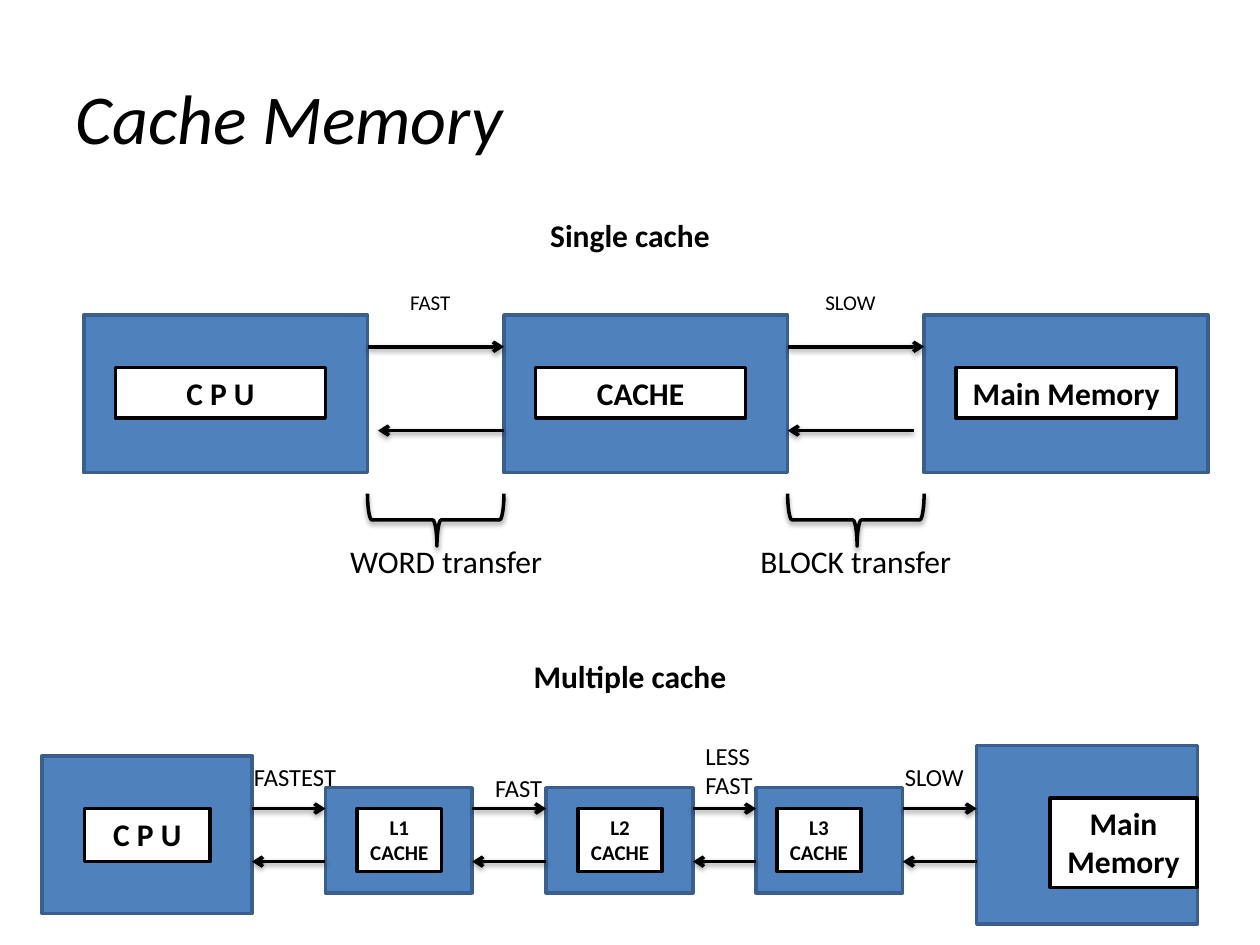
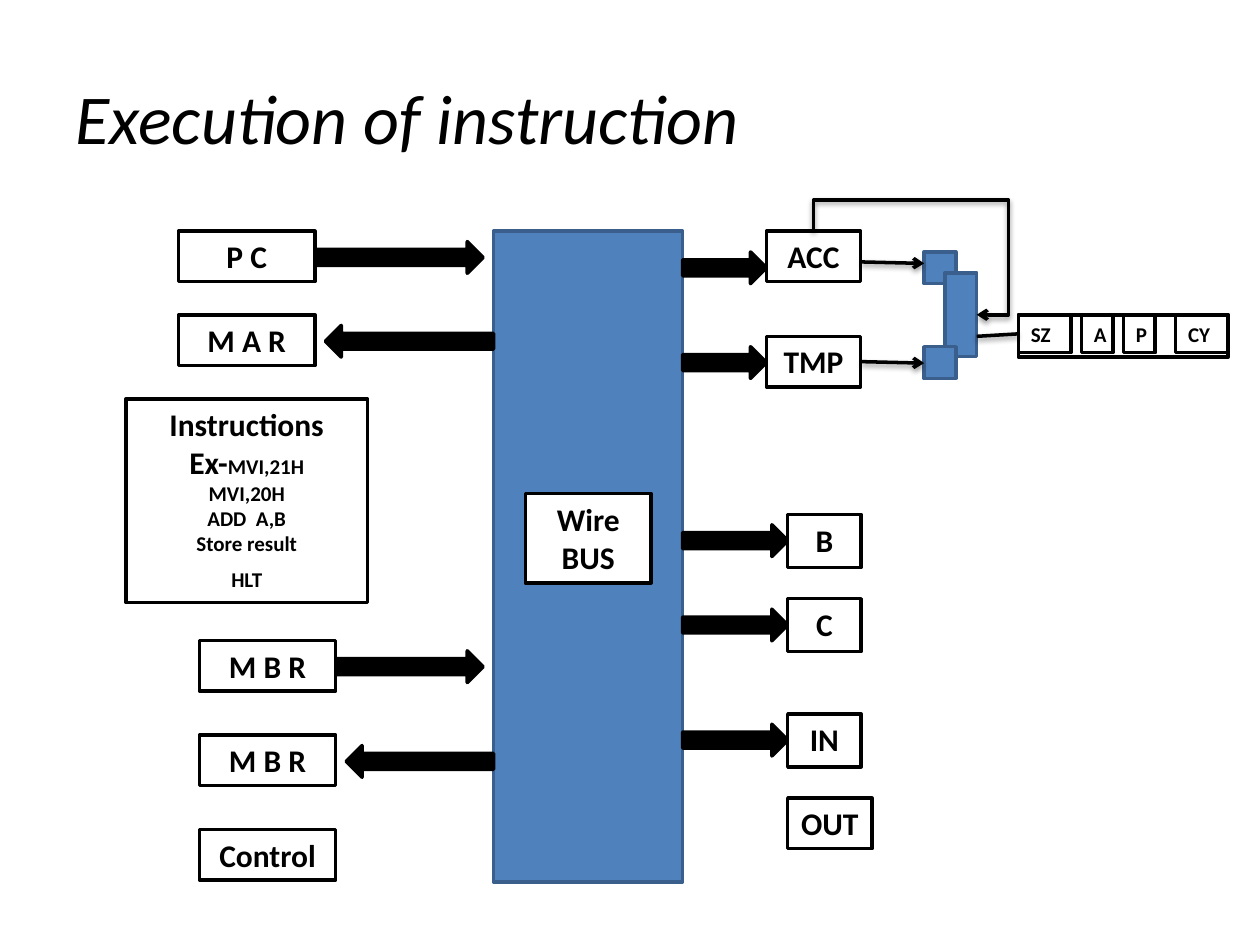
from collections import namedtuple

from lxml import etree
from pptx import Presentation
from pptx import util as u
from pptx.dml.color import RGBColor
from pptx.enum import shapes, text
from pptx.oxml.ns import qn

BLUE = RGBColor(0x4F, 0x81, 0xBD)
BLUE_EDGE = RGBColor(0x3A, 0x5F, 0x8C)
BLACK = RGBColor(0, 0, 0)
WHITE = RGBColor(255, 255, 255)
FONT = "Calibri"
LEFT, CENTER = text.PP_ALIGN.LEFT, text.PP_ALIGN.CENTER
SHAPE = shapes.MSO_SHAPE
STEP = 0.21  # small offset used throughout the diagrams

Box = namedtuple("Box", "left top width height")  # all in centimetres


def inside(box, left, top, width, height):
    """Return a box whose left and top are measured from those of another."""
    return Box(box.left + left, box.top + top, width, height)


def lengths(values):
    return [u.Cm(value) for value in values]


def set_font(font, size, bold=False, italic=False):
    font.name, font.size = FONT, u.Pt(size)
    font.bold, font.italic = bold, italic
    font.color.rgb = BLACK


def set_line(line, color=BLACK):
    line.color.rgb = color
    line.width = u.Pt(2)


def add_shadow(item):
    """Give a shape or connector a soft shadow falling straight down."""
    effects = etree.SubElement(item._element.spPr, qn("a:effectLst"))
    shadow = etree.SubElement(effects, qn("a:outerShdw"), blurRad=str(u.Pt(3.1)),
                              dist=str(u.Pt(1.6)), dir="5400000", rotWithShape="0")
    color = etree.SubElement(shadow, qn("a:srgbClr"), val=str(BLACK))
    etree.SubElement(color, qn("a:alpha"), val="38000")


def add_page(deck, title):
    page = deck.slides.add_slide(deck.slide_layouts.get_by_name("Title Only"))
    holder = page.shapes.title
    holder.left, holder.top, holder.width, holder.height = lengths((1.27, 0.76, 22.86, 3.18))
    holder.text_frame.text = title
    holder.text_frame.vertical_anchor = text.MSO_ANCHOR.MIDDLE
    para = holder.text_frame.paragraphs[0]
    para.alignment = LEFT
    set_font(para.font, 40, italic=True)
    return page


def add_text(page, box, words, size=18, bold=False, align=CENTER):
    """Add a text box with one paragraph for each line of words."""
    item = page.shapes.add_textbox(*lengths(box))
    frame = item.text_frame
    frame.word_wrap = True
    frame.auto_size = text.MSO_AUTO_SIZE.SHAPE_TO_FIT_TEXT
    frame.text = words
    for para in frame.paragraphs:
        para.alignment = align
        set_font(para.font, size, bold)
    return item


def add_label(page, box, words, size=18, align=CENTER):
    """Add bold text in a white box with a black edge."""
    item = add_text(page, box, words, size, True, align)
    item.fill.solid()
    item.fill.fore_color.rgb = WHITE
    set_line(item.line)
    return item


def add_block(page, box, kind=SHAPE.RECTANGLE, fill=BLUE, edge=BLUE_EDGE):
    item = page.shapes.add_shape(kind, *lengths(box))
    item.shadow.inherit = False
    item.fill.solid()
    item.fill.fore_color.rgb = fill
    set_line(item.line, edge)
    return item


def add_bus_arrow(page, box, kind):
    add_block(page, box, kind, BLACK, BLACK)


def finish_line(line, arrow=True):
    set_line(line.line)
    if arrow:
        etree.SubElement(line.line._get_or_add_ln(), qn("a:tailEnd"), type="arrow")
    add_shadow(line)


def add_line(page, box, start, end, arrow=True):
    """Draw a line between two points measured from the box corner."""
    points = [box.left + start[0], box.top + start[1], box.left + end[0], box.top + end[1]]
    line = page.shapes.add_connector(shapes.MSO_CONNECTOR.STRAIGHT, *lengths(points))
    finish_line(line, arrow)


def add_brace(page, box):
    """Add a brace which spans the box and points down."""
    middle = (box.left + box.width / 2, box.top + box.height / 2)
    brace = page.shapes.add_shape(SHAPE.LEFT_BRACE, *lengths(
        (middle[0] - box.height / 2, middle[1] - box.width / 2, box.height, box.width)))
    brace.rotation = 270
    brace.adjustments[0], brace.adjustments[1] = 0.083, 0.509
    brace.fill.background()
    set_line(brace.line)
    add_shadow(brace)


def add_heading(page, box, words):
    add_text(page, Box(box.left, box.top, box.width, 1.02), words, bold=True)


def draw_single_cache(page, box):
    add_heading(page, box, "Single cache")
    width, pitch, first, top = 5.72, 8.47, 1.69, 2.12
    for column, (name, label_width) in enumerate(
            [("C P U", 4.23), ("CACHE", 4.23), ("Main Memory", 4.45)]):
        block = inside(box, first + column * pitch, top, width, 3.18)
        add_block(page, block)
        add_label(page, inside(block, 0.64, 1.06, label_width, 1.02), name)

    # speed, transfer, shift of transfer text, start and end of the return arrow
    gap_width = pitch - width
    links = [("FAST", "WORD transfer", -1.06, gap_width, STEP),
             ("SLOW", "BLOCK transfer", -1.27, gap_width - STEP, 0)]
    for column, (speed, transfer, shift, start, end) in enumerate(links):
        gap = inside(box, first + width + column * pitch, top, gap_width, 3.18)
        add_line(page, gap, (0, 0.64), (gap_width, 0.64))
        add_line(page, gap, (start, 2.33), (end, 2.33))
        add_brace(page, inside(gap, 0, 3.6, gap_width, 1.06))
        add_text(page, inside(gap, -0.85, -0.64, 4.23, 0.76), speed, 12)
        add_text(page, inside(gap, shift, 4.45, 5.29, 1.02), transfer)


def draw_multiple_cache(page, box):
    add_heading(page, box, "Multiple cache")
    cache_size, cache_label = (2.96, 2.12), (1.7, 1.27)
    # name, text size, block place, block size, label offset, label size
    units = [
        ("C P U", 18, (0.85, 2.12), (4.23, 3.18), (0.85, 1.06), (2.54, 1.07)),
        ("L1 CACHE", 12, (6.56, 2.76), cache_size, (0.64, 0.42), cache_label),
        ("L2 CACHE", 12, (11.01, 2.76), cache_size, (0.64, 0.42), cache_label),
        ("L3 CACHE", 12, (15.24, 2.76), cache_size, (0.42, 0.42), cache_label),
        ("Main Memory", 18, (19.69, 1.91), (4.45, 3.6), (1.48, 1.06), (2.96, 1.8)),
    ]
    blocks = []
    for name, size, place, extent, offset, label_size in units:
        block = inside(box, *place, *extent)
        blocks.append(block)
        add_block(page, block)
        add_label(page, inside(block, *offset, *label_size), name, size)

    speeds = [("FASTEST", -STEP, 2.12), ("FAST", STEP, 2.33),
              ("LESS FAST", 0, 1.69), ("SLOW", -STEP, 2.12)]
    for before, after, (speed, shift, top) in zip(blocks, blocks[1:], speeds):
        right = before.left + before.width
        gap = Box(right, box.top, after.left - right, box.height)
        add_line(page, gap, (0, 3.18), (gap.width, 3.18))
        add_line(page, gap, (gap.width, 4.25), (0, 4.25))
        add_text(page, inside(gap, shift, top, 2.33, 0.86), speed, 14, align=LEFT)


def draw_bus(page, box):
    add_block(page, box)
    add_label(page, inside(box, 0.64, 5.29, 2.54, 1.8), "Wire\nBUS")


def draw_instructions(page, box):
    program = "Instructions\nEx-\nMVI,20H\nADD  A,B\nStore result\nHLT"
    paras = add_label(page, box, program, 12).text_frame.paragraphs
    paras[0].font.size = u.Pt(18)
    paras[1].runs[0].font.size = u.Pt(18)
    paras[1].add_run().text = "MVI,21H"
    paras[-1].space_before = u.Pt(6)


def draw_left_registers(page, box):
    """Draw the registers whose arrows end at the right edge of the box."""
    width = 2.75
    for name, left, top, direction in [
            ("P C", 1.06, 0, SHAPE.RIGHT_ARROW),
            ("M A R", 1.06, 1.69, SHAPE.LEFT_ARROW),
            ("M B R", 1.48, 8.25, SHAPE.RIGHT_ARROW),
            ("M B R", 1.48, 10.16, SHAPE.LEFT_ARROW),
            ("Control", 1.48, 12.06, None)]:
        label = inside(box, left, top, width, 1.02)
        add_label(page, label, name)
        if direction:
            start = width + (STEP if direction == SHAPE.LEFT_ARROW else 0)
            length = box.width - left - width - STEP
            add_bus_arrow(page, inside(label, start, STEP, length, 0.64), direction)
    draw_instructions(page, inside(box, 0, 3.38, 4.87, 4.11))


def draw_right_registers(page, box):
    """Draw the registers fed from the left edge of the box; return them by name."""
    registers = {}
    for name, left, top, width, height, arrow_drop in [
            ("ACC", 1.69, 0, 1.9, 1.02, 2 * STEP),
            ("TMP", 1.69, 2.12, 1.9, 1.02, STEP),
            ("B", 2.12, 5.71, 1.48, 1.07, STEP),
            ("C", 2.12, 7.41, 1.48, 1.07, STEP),
            ("IN", 2.12, 9.73, 1.48, 1.07, STEP),
            ("OUT", 2.12, 11.43, 1.7, 1.02, None)]:
        registers[name] = add_label(page, inside(box, left, top, width, height), name)
        if arrow_drop:
            arrow = inside(box, 0, top + arrow_drop, left, 0.64)
            add_bus_arrow(page, arrow, SHAPE.RIGHT_ARROW)
    return registers


def add_feedback(page, source, target):
    """Lead an arrow from the top of source, over and into the right of target."""
    line = page.shapes.add_connector(shapes.MSO_CONNECTOR.ELBOW, 0, 0, 0, 0)
    line.begin_connect(source, 0)
    line.end_connect(target, 3)
    start_x, start_y = source.left + source.width // 2, source.top
    end_x, end_y = target.left + target.width, target.top + target.height // 2
    # The preset is turned a quarter, so its width runs down the page.
    line.width, line.height = end_y - start_y, end_x - start_x
    line.left = (start_x + end_x - line.width) // 2
    line.top = (start_y + end_y - line.height) // 2
    frame = line._element.spPr.find(qn("a:xfrm"))
    frame.set("rot", str(270 * 60000))
    frame.set("flipH", "1")
    geometry = line._element.spPr.find(qn("a:prstGeom"))
    geometry.set("prst", "bentConnector4")
    guides = geometry.find(qn("a:avLst"))
    for name, value in [("adj1", -37500), ("adj2", 119400)]:
        etree.SubElement(guides, qn("a:gd"), name=name, fmla=f"val {value}")
    finish_line(line)


def draw_flags(page, box):
    add_block(page, box, fill=WHITE, edge=BLACK)
    for name, left, width in [("A", 1.27, 0.64), ("SZ", 0, 1.06),
                              ("P", 2.12, 0.64), ("CY", 3.17, 1.06)]:
        add_label(page, inside(box, left, 0, width, 0.76), name, 12, LEFT)


def draw_alu(page, box, accumulator):
    add_block(page, inside(box, 1.27, 0.42, 0.64, 0.64))
    body = add_block(page, inside(box, 1.69, 0.84, 0.64, 1.69))
    add_block(page, inside(box, 1.27, 2.33, 0.64, 0.64))
    draw_flags(page, inside(box, 3.17, 1.69, 4.23, 0.85))
    add_feedback(page, accumulator, body)
    add_line(page, box, (3.17, 2.07), (2.33, 2.12), arrow=False)
    for height in (0.62, 2.63):
        add_line(page, box, (0, height), (1.27, height + 0.03))


def main():
    deck = Presentation()
    deck.slide_width, deck.slide_height = lengths((25.4, 19.05))

    page = add_page(deck, "Cache Memory")
    draw_single_cache(page, Box(0, 4.23, 25.4, 7.6))
    draw_multiple_cache(page, Box(0, 13.12, 25.4, 5.51))

    page = add_page(deck, "Execution of instruction")
    bus = Box(9.95, 4.66, 3.81, 13.12)
    draw_bus(page, bus)
    draw_left_registers(page, inside(bus, -7.41, 0, 7.41, bus.height))
    registers = draw_right_registers(page, inside(bus, bus.width, 0, 3.82, bus.height))
    draw_alu(page, inside(bus, 7.41, 0, 7.4, 2.97), registers["ACC"])

    deck.save("out.pptx")


if __name__ == "__main__":
    main()
